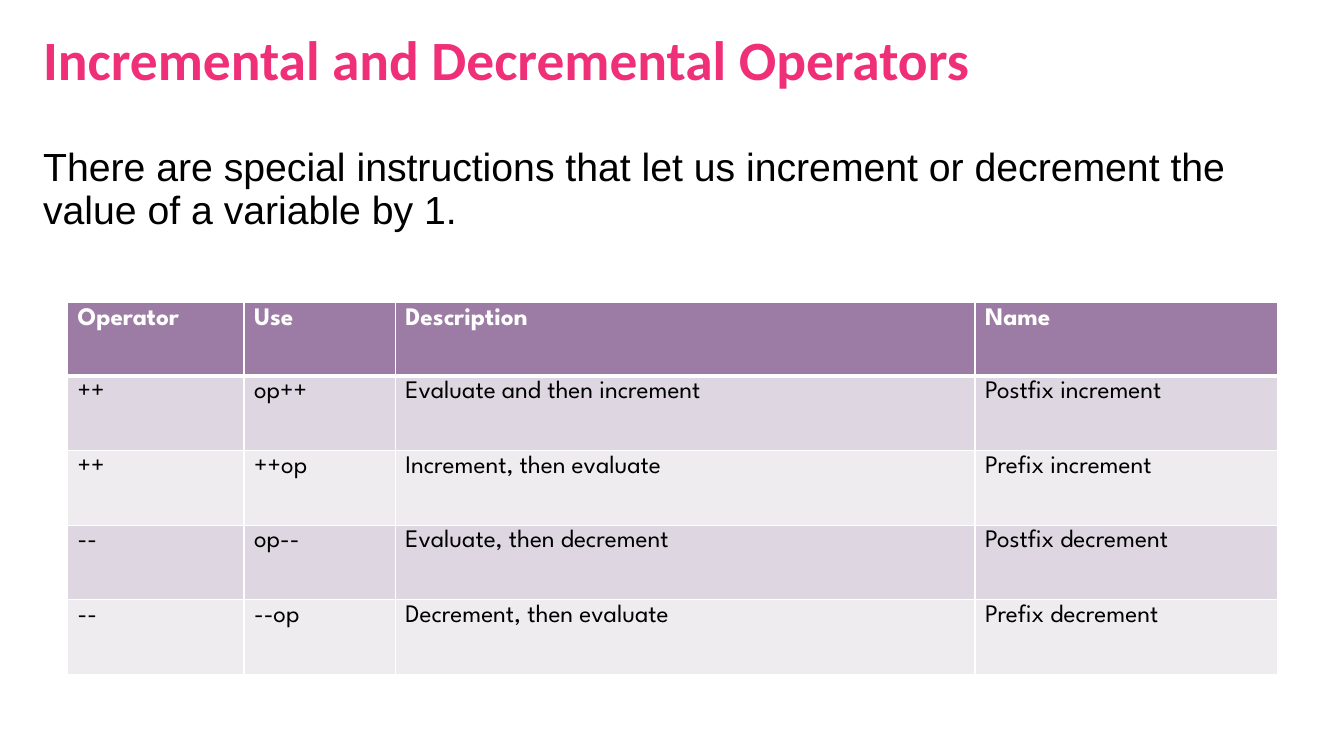
import pptx
import pptx.dml.color
import pptx.enum.text
import pptx.oxml
import pptx.oxml.ns
import pptx.util
from pptx.util import Inches

COLORS = {
    "title": "EF3078",
    "text": "000000",
    "white": "FFFFFF",
    "header": "9C7CA5",
    "odd_row": "DED7E1",
    "even_row": "EFECF0",
}


def write(frame, text, color, line_spacing, font_format):
    frame.word_wrap = True
    paragraph = frame.paragraphs[0]
    paragraph.line_spacing = line_spacing
    run = paragraph.add_run()
    run.text = text
    for attribute, value in font_format.items():
        setattr(run.font, attribute, value)
    run.font.color.rgb = pptx.dml.color.RGBColor.from_string(COLORS[color])


def add_border(cell, side, points):
    line = pptx.oxml.parse_xml(
        f'<a:ln{side} {pptx.oxml.ns.nsdecls("a")} w="{pptx.util.Pt(points)}">'
        f'<a:solidFill><a:srgbClr val="{COLORS["white"]}"/></a:solidFill></a:ln{side}>'
    )
    cell._tc.get_or_add_tcPr().append(line)


presentation = pptx.Presentation()
presentation.slide_width = Inches(13.33)
presentation.slide_height = Inches(7.5)
slide = presentation.slides.add_slide(presentation.slide_layouts[6])

# Title and introduction
title = slide.shapes.add_textbox(Inches(0.33), Inches(0.25), Inches(12.67), Inches(0.75)).text_frame
title.vertical_anchor = pptx.enum.text.MSO_ANCHOR.MIDDLE
write(title, "Incremental and Decremental Operators", "title", 0.9,
      {"name": "Calibri", "size": pptx.util.Pt(39.6), "bold": True})

introduction = slide.shapes.add_textbox(
    Inches(0.33), Inches(1.42), Inches(12.67), Inches(1.67)).text_frame
write(introduction,
      "There are special instructions that let us increment or decrement the value of a variable by 1.",
      "text", 0.9, {"name": "Arial", "size": pptx.util.Pt(28), "bold": False})

# Operator table
operators = [
    ("Operator", "Use", "Description", "Name"),
    ("++", "op++", "Evaluate and then increment", "Postfix increment"),
    ("++", "++op", "Increment, then evaluate", "Prefix increment"),
    ("--", "op--", "Evaluate, then decrement", "Postfix decrement"),
    ("--", "--op", "Decrement, then evaluate", "Prefix decrement"),
]
column_widths = [1.75, 1.5, 5.75, 3]
table = slide.shapes.add_table(
    len(operators), len(column_widths), Inches(0.67), Inches(3), Inches(12), Inches(3.67)).table
for column, width in zip(table.columns, column_widths):
    column.width = Inches(width)

for row_index, entries in enumerate(operators):
    is_header = row_index == 0
    table.rows[row_index].height = Inches(0.73 if is_header else 0.74)
    row_color = "header" if is_header else "odd_row" if row_index % 2 else "even_row"
    # The rule between header and body is thicker than the others
    border_widths = {"L": 1, "R": 1, "T": 3 if row_index == 1 else 1, "B": 3 if is_header else 1}
    for column_index, entry in enumerate(entries):
        cell = table.cell(row_index, column_index)
        for side, points in border_widths.items():
            add_border(cell, side, points)
        cell.fill.solid()
        cell.fill.fore_color.rgb = pptx.dml.color.RGBColor.from_string(COLORS[row_color])
        write(cell.text_frame, entry, "white" if is_header else "text", 1.0,
              {"name": "League Spartan", "size": pptx.util.Pt(18), "bold": is_header})

presentation.save("out.pptx")
